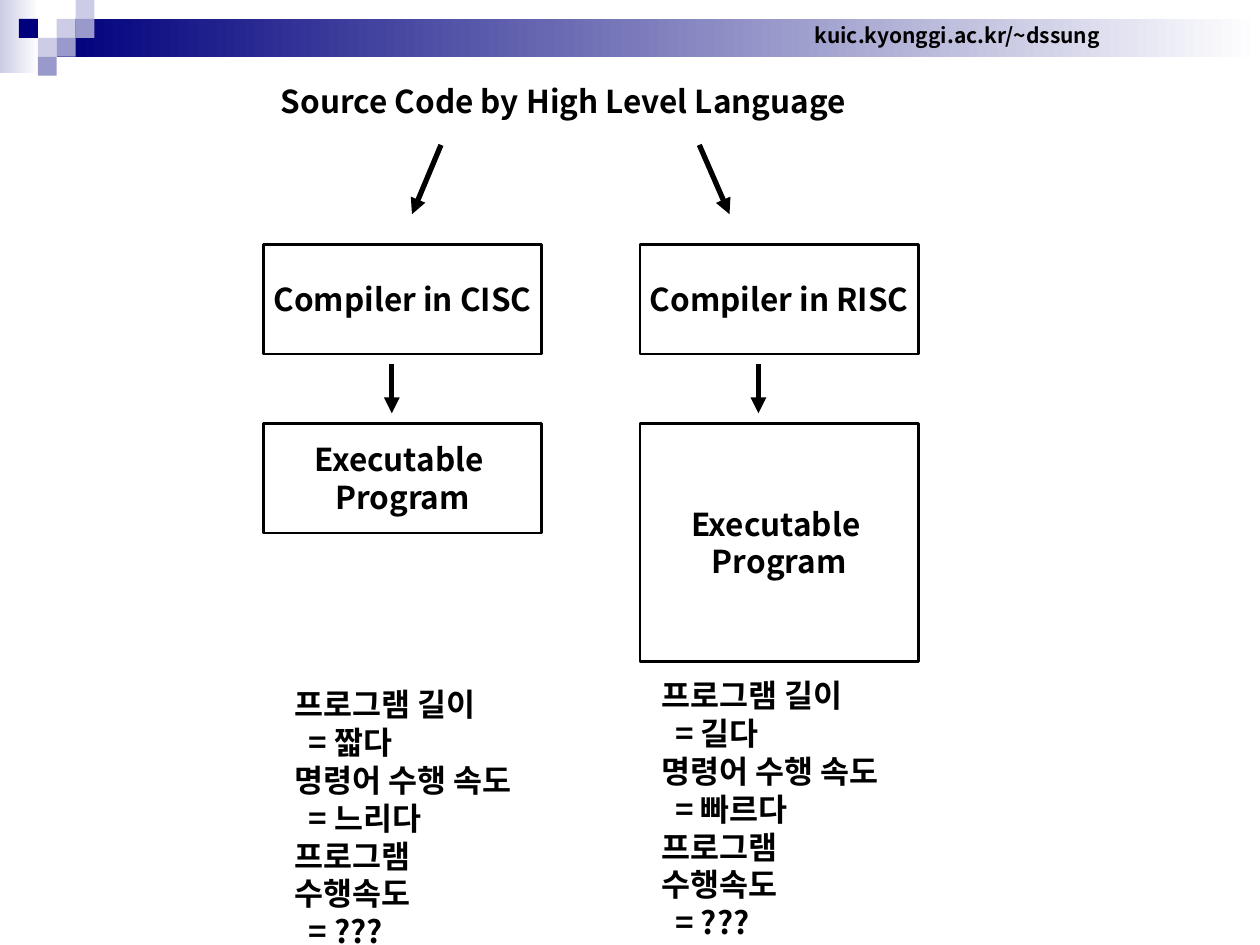
from lxml.etree import SubElement
from pptx import Presentation
from pptx.dml.color import RGBColor
from pptx.enum.shapes import MSO_CONNECTOR, MSO_SHAPE
from pptx.enum.text import MSO_ANCHOR, PP_ALIGN
from pptx.oxml.ns import qn
from pptx.util import Pt

EMU_PER_PX = 9144
FONT = "Noto Sans CJK KR"
BLACK, WHITE = "000000", "FFFFFF"
NAVY, LAVENDER, VIOLET = "00007D", "CCCCE6", "9999CC"
FRAME_FORMAT = {
    "word_wrap": False,
    "margin_left": 10 * EMU_PER_PX,
    "margin_right": 10 * EMU_PER_PX,
    "margin_top": 5 * EMU_PER_PX,
    "margin_bottom": 5 * EMU_PER_PX,
}


def px(*lengths):
    return [length * EMU_PER_PX for length in lengths]


def color(value):
    return RGBColor.from_string(value)


def apply_format(target, values):
    for name, value in values.items():
        setattr(target, name, value)


def write_text(shape, lines, size=18, align=PP_ALIGN.LEFT, anchor=MSO_ANCHOR.TOP, indents=None):
    frame = shape.text_frame
    apply_format(frame, {**FRAME_FORMAT, "vertical_anchor": anchor})
    frame.text = "\n".join(lines)
    for paragraph, indent in zip(frame.paragraphs, indents or [0] * len(lines)):
        paragraph.alignment = align
        if indent:
            paragraph._p.get_or_add_pPr().set("marL", str(indent * EMU_PER_PX))
        for run in paragraph.runs:
            apply_format(run.font, {"name": FONT, "size": Pt(size), "bold": True})
            run.font.color.rgb = color(BLACK)
            SubElement(run._r.get_or_add_rPr(), qn("a:ea"), typeface=FONT)


def add_rectangle(slide, box, fill, outlined=False):
    shape = slide.shapes.add_shape(MSO_SHAPE.RECTANGLE, *px(*box))
    shape.shadow.inherit = False
    if isinstance(fill, tuple):
        shape.fill.gradient()
        shape.fill.gradient_angle = 180
        for stop, value in zip(shape.fill.gradient_stops, fill):
            stop.color.rgb = color(value)
    else:
        shape.fill.solid()
        shape.fill.fore_color.rgb = color(fill)
    if outlined:
        shape.line.color.rgb = color(BLACK)
        shape.line.width = Pt(1.5)
    else:
        shape.line.fill.background()
    return shape


def add_arrow(slide, start, end):
    arrow = slide.shapes.add_connector(MSO_CONNECTOR.STRAIGHT, *px(*start, *end))
    arrow.line.color.rgb = color(BLACK)
    arrow.line.width = Pt(3)
    SubElement(arrow.line._get_or_add_ln(), qn("a:tailEnd"), type="triangle")
    SubElement(arrow._element.spPr, qn("a:effectLst"))


def add_header(slide, left, top, width):
    cell = 15
    add_rectangle(slide, (left, top, 31, 58), (WHITE, LAVENDER))
    add_rectangle(slide, (left + 3 * cell, top + cell, width - 3 * cell, 2 * cell), (WHITE, NAVY))
    squares = [
        (3, 1, LAVENDER), (4, 0, LAVENDER), (4, 1, VIOLET), (2, 2, LAVENDER),
        (1, 1, NAVY), (3, 2, VIOLET), (2, 3, VIOLET),
    ]
    for column, row, fill in squares:
        add_rectangle(slide, (left + column * cell, top + row * cell, cell, cell), fill)
    address = slide.shapes.add_textbox(*px(left + 637, top + 13, 247, 30))
    write_text(address, ["kuic.kyonggi.ac.kr/~dssung"], size=12, anchor=MSO_ANCHOR.MIDDLE)


def add_title(slide, left, top, width, height):
    title = slide.shapes.title
    box = px(left, top, width, height)
    apply_format(title, dict(zip(("left", "top", "width", "height"), box)))
    write_text(title, ["Source Code by High Level Language"])


def add_column(slide, left, top, name, program_height, arrow_offset, source_arrow, notes_box, answers):
    width, compiler_height, program_top = 221, 87, top + 142
    stages = [
        (top, compiler_height, [f"Compiler in {name}"]),
        (program_top, program_height, ["Executable ", "Program"]),
    ]
    for stage_top, height, lines in stages:
        stage = add_rectangle(slide, (left, stage_top, width, height), WHITE, outlined=True)
        write_text(stage, lines, align=PP_ALIGN.CENTER, anchor=MSO_ANCHOR.MIDDLE)

    arrow_x = left + arrow_offset
    add_arrow(slide, (arrow_x, top + compiler_height + 8), (arrow_x, program_top - 8))
    start_offset, end_offset = source_arrow
    add_arrow(slide, (left + start_offset, top - 79), (left + end_offset, top - 24))

    notes_left, notes_top = notes_box
    notes = slide.shapes.add_textbox(*px(left + notes_left, top + notes_top, 209, 190))
    questions = ["프로그램 길이", "명령어 수행 속도", "프로그램 수행속도"]
    lines = [line for question, answer in zip(questions, answers) for line in (question, f"= {answer}")]
    write_text(notes, lines, indents=[0, 11] * len(questions))


def main():
    presentation = Presentation()
    presentation.slide_width, presentation.slide_height = px(1000, 750)
    slide = presentation.slides.add_slide(presentation.slide_layouts[5])
    add_header(slide, 0, 0, 1000)
    add_title(slide, 213, 60, 477, 40)
    add_column(slide, 209, 194, "CISC", 87, 102, (141, 118), (15, 345), ["짧다", "느리다", "???"])
    add_column(slide, 508, 194, "RISC", 189, 94, (47, 71), (7, 338), ["길다", "빠르다", "???"])
    presentation.save("out.pptx")


if __name__ == "__main__":
    main()
